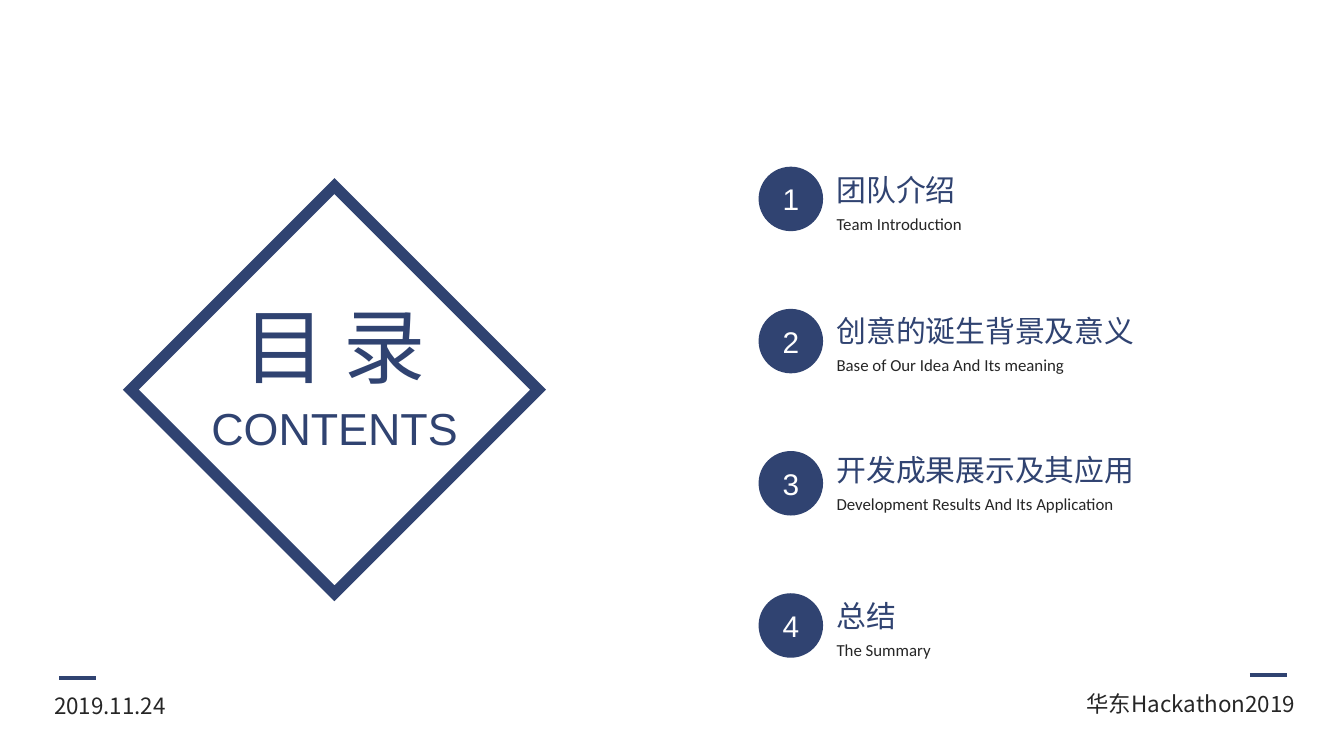
from typing import NamedTuple

from lxml.etree import SubElement
from pptx import Presentation
from pptx.dml.color import RGBColor
from pptx.enum.shapes import MSO_CONNECTOR as Connector, MSO_SHAPE as Preset
from pptx.enum.text import MSO_ANCHOR as Anchor, MSO_AUTO_SIZE as AutoSize, PP_ALIGN as Align
from pptx.oxml.ns import qn
from pptx.util import Inches, Length, Pt

NAVY = RGBColor(0x30, 0x43, 0x71)
INK = RGBColor(0x26, 0x26, 0x26)
WHITE = RGBColor(0xFF, 0xFF, 0xFF)
HAN_FONT = "Noto Sans CJK SC"

# The 16:9 slide is laid out on a grid of square cells, 100 columns wide.
CELL = 0.1
COLUMNS = 100
ROWS = COLUMNS * 9 / 16

BADGE_LEFT, BADGE_TOP, BADGE_SIZE, BADGE_STEP = 56.44, 12.4, 4.8, 10.58
ENTRY_LEFT, SUBTITLE_DROP = 61.26, 3.1


class Area(NamedTuple):
    left: float
    top: float
    width: float
    height: float


class TextStyle(NamedTuple):
    font: str
    size: float
    color: RGBColor
    align: Align = Align.LEFT


class Entry(NamedTuple):
    title: str
    subtitle: str
    top: float
    title_width: float
    subtitle_width: float


class Label(NamedTuple):
    text: str
    area: Area
    style: TextStyle


class Dash(NamedTuple):
    left: float
    top: float


TITLE = TextStyle(HAN_FONT, 16, NAVY)
SUBTITLE = TextStyle("Calibri", 9, INK)
NUMBER = TextStyle("Arial", 16, WHITE, Align.CENTER)
FOOTER = TextStyle(HAN_FONT, 12, INK)

DIAMOND = Area(9.74, 13.85, 30.3, 30.3)
DASH_WIDTH = 2.75
DASHES = [Dash(93, 50.22), Dash(4.4, 50.44)]
LABELS = [
    Label("目 录", Area(16.8, 21.5, 16.2, 8.4), TextStyle(HAN_FONT, 44, NAVY, Align.CENTER)),
    Label("CONTENTS", Area(14.64, 29.3, 20.5, 5), TextStyle("Arial", 24, NAVY, Align.CENTER)),
    Label("2019.11.24", Area(3.04, 51, 10.7, 3), FOOTER),
    Label("华东Hackathon2019", Area(79.36, 50.84, 18, 3), FOOTER._replace(align=Align.RIGHT)),
]
ENTRIES = [
    Entry("团队介绍", "Team Introduction", 12.32, 11, 11.5),
    Entry("创意的诞生背景及意义", "Base of Our Idea And Its meaning", 22.8, 24.5, 18.9),
    Entry("开发成果展示及其应用", "Development Results And Its Application", 33.15, 24.5, 22.6),
    Entry("总结", "The Summary", 44, 6.5, 9),
]


def cells(count: float) -> Length:
    return Inches(count * CELL)


def place(area: Area) -> list[Length]:
    return [cells(count) for count in area]


def write(frame, text: str, style: TextStyle) -> None:
    para = frame.paragraphs[0]
    para.alignment = style.align
    span = para.add_run()
    span.text = text
    for name, value in {"name": style.font, "size": Pt(style.size)}.items():
        setattr(span.font, name, value)
    span.font.color.rgb = style.color
    # East Asian glyphs take their typeface from a separate element.
    SubElement(span.font._element, qn("a:ea"), typeface=style.font)


def add_label(page, label: Label) -> None:
    frame = page.shapes.add_textbox(*place(label.area)).text_frame
    for name, value in {"word_wrap": False, "auto_size": AutoSize.SHAPE_TO_FIT_TEXT}.items():
        setattr(frame, name, value)
    write(frame, label.text, label.style)


def add_badge(page, number: int) -> None:
    top = BADGE_TOP + (number - 1) * BADGE_STEP
    badge = page.shapes.add_shape(
        Preset.OVAL, *place(Area(BADGE_LEFT, top, BADGE_SIZE, BADGE_SIZE)))
    badge.shadow.inherit = False
    badge.fill.solid()
    badge.fill.fore_color.rgb = NAVY
    badge.line.fill.background()
    badge.text_frame.vertical_anchor = Anchor.MIDDLE
    write(badge.text_frame, str(number), NUMBER)


def add_entry(page, number: int, entry: Entry) -> None:
    add_badge(page, number)
    add_label(page, Label(
        entry.title, Area(ENTRY_LEFT, entry.top, entry.title_width, 3.7), TITLE))
    add_label(page, Label(
        entry.subtitle,
        Area(ENTRY_LEFT, entry.top + SUBTITLE_DROP, entry.subtitle_width, 2.5), SUBTITLE))


def add_dash(page, dash: Dash) -> None:
    left, top, right = map(cells, (dash.left, dash.top, dash.left + DASH_WIDTH))
    line = page.shapes.add_connector(Connector.STRAIGHT, left, top, right, top)
    line.line.color.rgb = NAVY
    line.line.width = Pt(2.25)
    SubElement(line._element.spPr, qn("a:effectLst"))


def add_diamond(page) -> None:
    """Draw the hollow frame with sharp, mitred corners."""
    diamond = page.shapes.add_shape(Preset.DIAMOND, *place(DIAMOND))
    diamond.shadow.inherit = False
    diamond.fill.background()
    diamond.line.color.rgb = NAVY
    diamond.line.width = Pt(6)
    SubElement(diamond.line._get_or_add_ln(), qn("a:miter"), lim="800000")


def main() -> None:
    deck = Presentation()
    deck.slide_width, deck.slide_height = cells(COLUMNS), cells(ROWS)
    page = deck.slides.add_slide(deck.slide_layouts[6])
    for dash in DASHES:
        add_dash(page, dash)
    add_diamond(page)
    for label in LABELS:
        add_label(page, label)
    for number, entry in enumerate(ENTRIES, start=1):
        add_entry(page, number, entry)
    deck.save("out.pptx")


if __name__ == "__main__":
    main()
